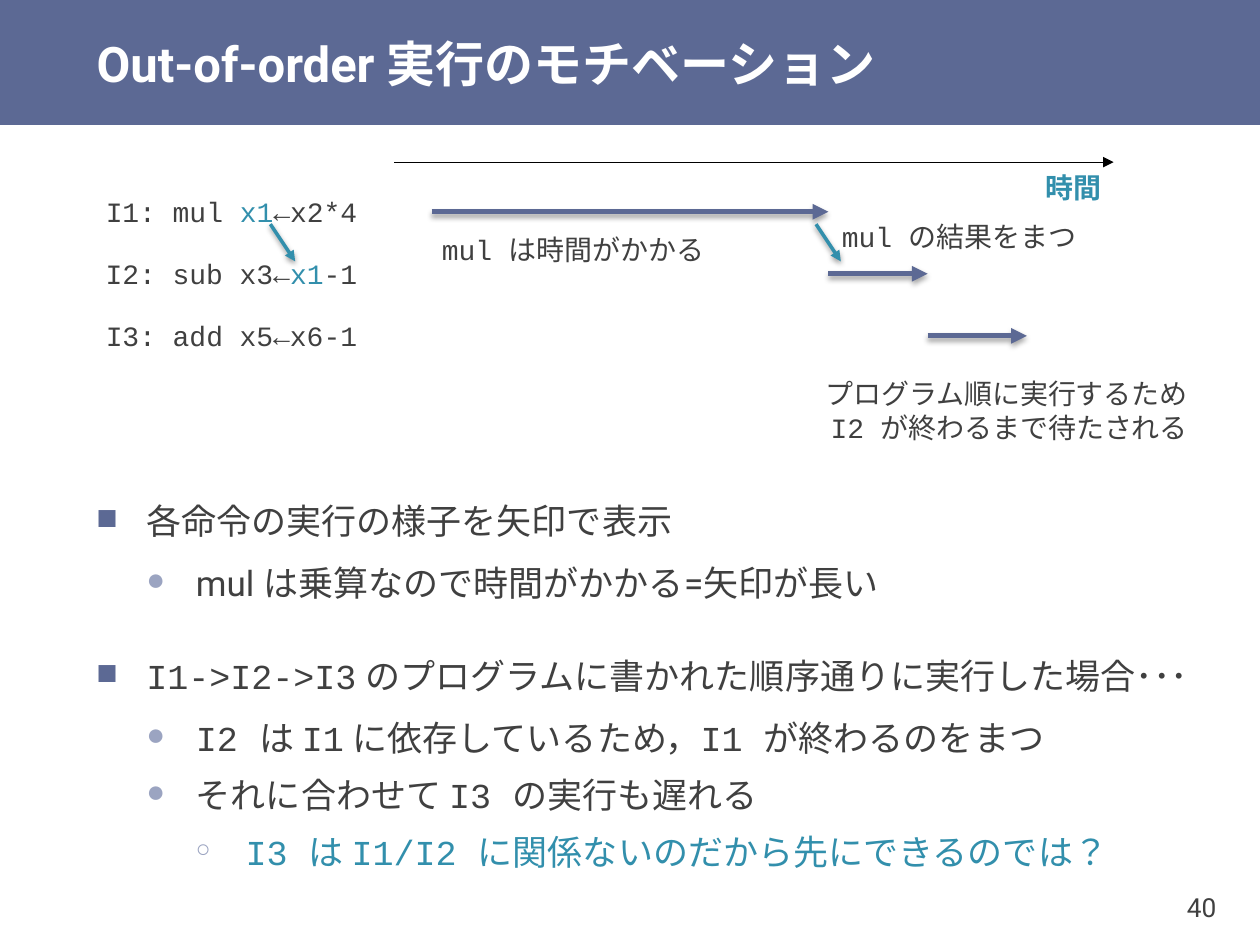
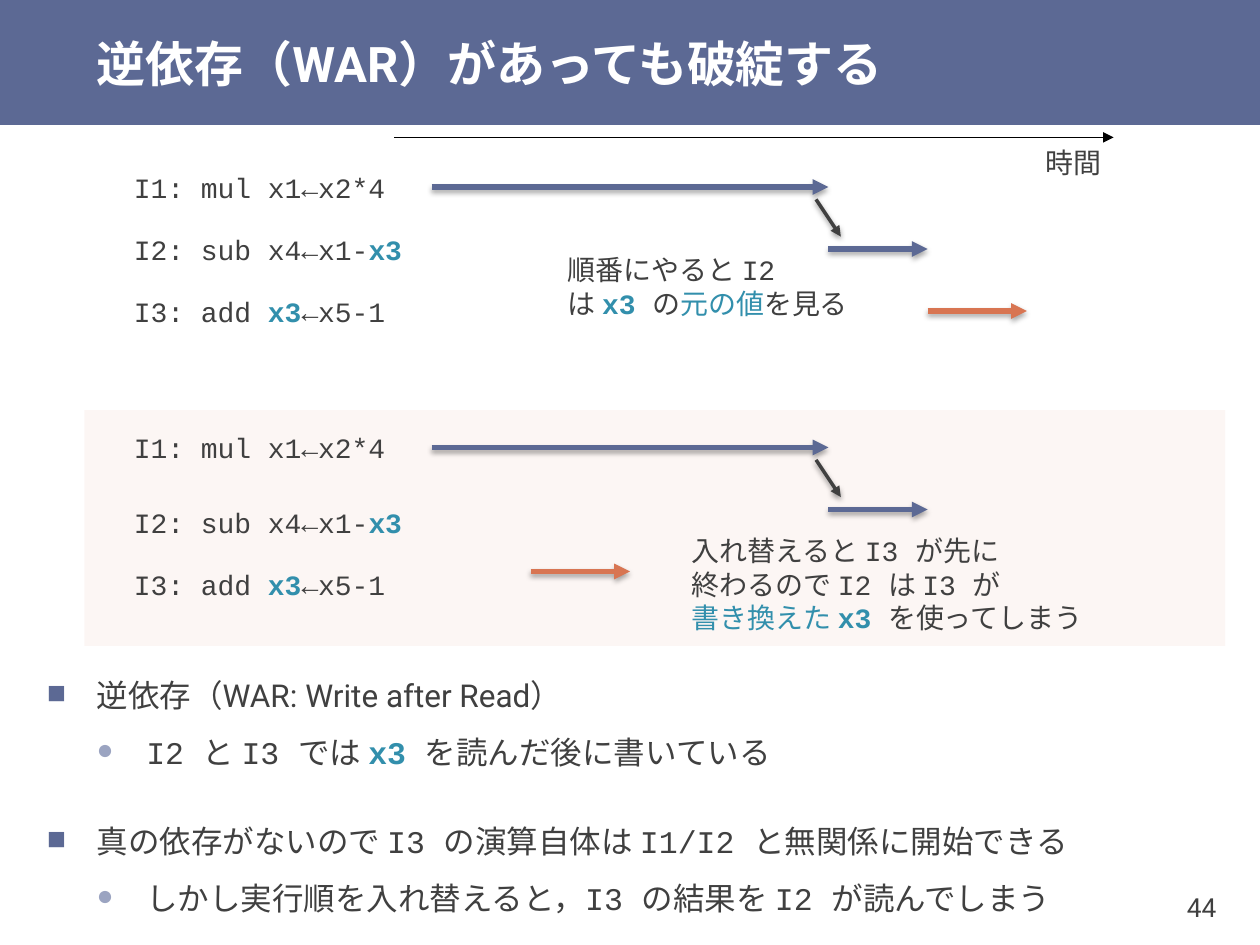
from dataclasses import dataclass, field
from pptx import Presentation
from pptx.dml.color import RGBColor
from pptx.enum.lang import MSO_LANGUAGE_ID as Lang
from pptx.enum.shapes import MSO_CONNECTOR as Link, MSO_SHAPE as Form
from pptx.enum.text import MSO_ANCHOR as Anchor, PP_ALIGN as Align
from pptx.oxml import parse_xml
from pptx.oxml.ns import nsdecls
from pptx.util import Cm, Pt

COLS, ROWS = 25.4, 19.05
EDGE, BAND = 1.7, 2.52
STEP = 1.25
BLUE, PALE, TEAL, CORAL = "5C6994", "9BA4C1", "328FAC", "D87552"
INK, WHITE, BLACK, BLUSH = "404040", "FFFFFF", "000000", "F7E3DC"
SANS, MONO = "Roboto", "Courier New"
MUL, SUB, ADD = (8.7, 16.7), (16.7, 18.7), (18.7, 20.7)
BULLETS = [("■", BLUE, 100, 24, 6), ("●", PALE, 90, 3, 3), ("○", PALE, 70, 3, 3)]


@dataclass
class Run:
    """A piece of text and its own format values."""
    text: str
    fmt: dict = field(default_factory=dict)


@dataclass
class Item:
    """A bulleted paragraph and its level."""
    level: int
    runs: list


@dataclass
class Label:
    """Lines of code text that start or end at a grid point."""
    col: float
    mid: float
    lines: list
    align: Align = Align.RIGHT
    width: float = 7


@dataclass
class Arrow:
    """An arrow between two grid points."""
    start: tuple
    end: tuple
    hue: str = BLUE
    width: float = 3


def code(text: str) -> Run:
    """Return text in the code font."""
    return Run(text, {"name": MONO})


def tint(text: str) -> Run:
    """Return highlighted code."""
    return Run(text, {"name": MONO, "color": TEAL})


def bold(text: str) -> Run:
    """Return bold highlighted code."""
    return Run(text, {"name": MONO, "color": TEAL, "bold": True})


def rgb(hue: str) -> RGBColor:
    """Turn a hex string into a colour."""
    return RGBColor.from_string(hue)


def node(tag: str, attrs: str = "", inner: str = ""):
    """Build a drawing element."""
    return parse_xml(f"<a:{tag} {nsdecls('a')} {attrs}>{inner}</a:{tag}>")


def style(font, fmt: dict) -> None:
    """Apply format values to a font."""
    for key, val in fmt.items():
        if key == "color":
            font.color.rgb = rgb(val)
        else:
            setattr(font, key, Pt(val) if key == "size" else val)


def write(para, runs: list, base: dict) -> None:
    """Fill a paragraph with runs."""
    for run in runs:
        if run.text == "\n":
            para.add_line_break()
            continue
        part = para.add_run()
        part.text = run.text
        style(part.font, {"language_id": Lang.JAPANESE} | base | run.fmt)


def frame(slide, box: tuple, pads: tuple = (0, 0)):
    """Add a text box and return its text frame."""
    text = slide.shapes.add_textbox(*map(Cm, box)).text_frame
    side, end = map(Cm, pads)
    fmt = {"word_wrap": True, "vertical_anchor": Anchor.MIDDLE,
           "margin_left": side, "margin_right": side,
           "margin_top": end, "margin_bottom": end}
    for key, val in fmt.items():
        setattr(text, key, val)
    return text


def rect(slide, box: tuple, hue: str, alpha: int = 100) -> None:
    """Draw a plain filled rectangle."""
    shape = slide.shapes.add_shape(Form.RECTANGLE, *map(Cm, box))
    shape.shadow.inherit = False
    shape.fill.solid()
    shape.fill.fore_color.rgb = rgb(hue)
    shape.line.fill.background()
    if alpha < 100:
        tone = shape.fill._xPr.find(".//{*}srgbClr")
        tone.append(node("alpha", f'val="{alpha * 1000}"'))


def label(slide, item: Label) -> None:
    """Draw a label centred on its row."""
    left = item.col - item.width if item.align == Align.RIGHT else item.col
    text = frame(slide, (left, item.mid - 0.5, item.width, 1))
    for i, runs in enumerate(item.lines):
        para = text.add_paragraph() if i else text.paragraphs[0]
        para.alignment = item.align
        write(para, runs, {"name": MONO, "size": 16, "color": INK})


def arrow(slide, item: Arrow) -> None:
    """Draw an arrow; heavy ones cast a shadow."""
    ends = map(Cm, item.start + item.end)
    link = slide.shapes.add_connector(Link.STRAIGHT, *ends)
    link.line.color.rgb = rgb(item.hue)
    link.line.width = Pt(item.width)
    link.line._get_or_add_ln().append(node("tailEnd", 'type="triangle"'))
    shade = ""
    if item.width > 1:
        dist, alpha = (22860, 35000) if item.width > 2 else (20320, 38000)
        shade = (f'<a:outerShdw blurRad="39370" dist="{dist}" dir="5400000" rotWithShape="0">'
                 f'<a:srgbClr val="{BLACK}"><a:alpha val="{alpha}"/></a:srgbClr></a:outerShdw>')
    link._element.spPr.append(node("effectLst", inner=shade))


def axis(slide, row: float, run: Run) -> None:
    """Draw the time axis and its name."""
    arrow(slide, Arrow((7.95, row), (22.45, row), BLACK, 0.75))
    label(slide, Label(22.2, row + 0.5, [[run]]))


def depend(slide, col: float, row: float, hue: str) -> None:
    """Draw a dependence from one row to the next."""
    arrow(slide, Arrow((col, row + 0.25), (col + 0.5, row + 1), hue, 2))


def flow(slide, row: float, spans: list, last: str, hue: str) -> None:
    """Draw the timeline of three instructions."""
    for i, (start, end) in enumerate(spans):
        mid = row + i * STEP
        arrow(slide, Arrow((start, mid), (end, mid), last if i == 2 else BLUE))
    depend(slide, 16.45, row, hue)


def listing(slide, col: float, rows: list, lines: list, align: Align) -> None:
    """Draw one line of code on each row."""
    for row, runs in zip(rows, lines):
        label(slide, Label(col, row, [runs], align))


def body(slide, box: tuple, size: int, items: list) -> None:
    """Draw the bulleted text."""
    text = frame(slide, box, (0.25, 0.13))
    for i, item in enumerate(items):
        para = text.add_paragraph() if i else text.paragraphs[0]
        mark, hue, share, above, below = BULLETS[item.level]
        fmt = {"level": item.level, "line_spacing": 1.1,
               "space_before": Pt(above), "space_after": Pt(below)}
        for key, val in fmt.items():
            setattr(para, key, val)
        props = para._p.get_or_add_pPr()
        props.set("marL", str(Cm(item.level + 1)))
        props.set("indent", str(-Cm(1)))
        props.append(node("buClr", inner=f'<a:srgbClr val="{hue}"/>'))
        props.append(node("buSzPct", f'val="{share * 1000}"'))
        props.append(node("buFont", f'typeface="{MONO}"'))
        props.append(node("buChar", f'char="{mark}"'))
        write(para, item.runs, {"name": SANS, "size": size, "color": INK})


def start(deck, title: str, page: int):
    """Add a slide with band, title and page number."""
    slide = deck.slides.add_slide(deck.slide_layouts[6])
    rect(slide, (0, 0, COLS, BAND), BLUE)
    head = frame(slide, (EDGE, 0, COLS - EDGE, BAND), (0.25, 0))
    write(head.paragraphs[0], [Run(title)],
          {"name": SANS, "size": 28, "color": WHITE, "bold": True})
    foot = frame(slide, (22.7, ROWS - 1.52, 2, 1.52), (0.18, 0.1))
    foot.paragraphs[0].alignment = Align.RIGHT
    write(foot.paragraphs[0], [Run(str(page))], {"name": SANS, "size": 15, "color": INK})
    return slide


def motive(deck) -> None:
    """Build the slide on in-order delay."""
    slide = start(deck, "Out-of-order 実行のモチベーション", 40)
    top = 4.27
    axis(slide, top - 1, bold("時間"))
    listing(slide, 7.2, [top + i * STEP for i in range(3)], [
        [code("I1: mul "), tint("x1"), code("←x2*4")],
        [code("I2: sub x3←"), tint("x1"), code("-1")],
        [code("I3: add x5←x6-1")]], Align.RIGHT)
    flow(slide, top, [MUL, SUB, ADD], BLUE, TEAL)
    depend(slide, 5.45, top, TEAL)
    for item in (
            Label(14.2, top + 0.75, [[code("mul は時間がかかる")]]),
            Label(21.7, top + 0.5, [[code("mul の結果をまつ")]]),
            Label(23.95, top + 4, [[code("プログラム順に実行するため")],
                                   [code("I2 が終わるまで待たされる")]], width=9)):
        label(slide, item)
    body(slide, (EDGE, 10.03, COLS - EDGE, 7.5), 20, [
        Item(0, [Run("各命令の実行の様子を矢印で表示")]),
        Item(1, [Run("mul は乗算なので時間がかかる=矢印が長い")]),
        Item(0, [code("I1->I2->I3"), Run(" のプログラムに書かれた順序通りに実行した場合･･･")]),
        Item(1, [code("I2 は I1"), Run(" に依存しているため，"), code("I1 が終わるのをまつ")]),
        Item(1, [code("それに合わせて I3 の実行も遅れる")]),
        Item(2, [tint("I3 は I1/I2 に関係ないのだから先にできるのでは？")])])


def hazard(deck) -> None:
    """Build the slide on write after read."""
    slide = start(deck, "逆依存（WAR）があっても破綻する", 44)
    top, low = 3.77, 9.02
    rect(slide, (EDGE, 8.27, 23, 4.75), BLUSH, 30)
    axis(slide, top - 1, code("時間"))
    lines = [[code("I1: mul x1←x2*4")],
             [code("I2: sub x4←x1-"), bold("x3")],
             [code("I3: add "), bold("x3"), code("←x5-1")]]
    for rows in ([top + i * STEP for i in range(3)], [low, low + 1.5, low + 2.75]):
        listing(slide, 2.7, rows, lines, Align.LEFT)
    flow(slide, top, [MUL, SUB, ADD], CORAL, INK)
    flow(slide, low, [MUL, SUB, (10.7, 12.7)], CORAL, INK)
    label(slide, Label(13.95, low + 2.75, [
        [code("入れ替えると I3 が先に")],
        [code("終わるので I2 は I3 が"), Run("\n"), tint("書き換えた "),
         bold("x3 "), code("を使ってしまう")]], Align.LEFT, 9))
    label(slide, Label(11.45, top + 2, [
        [code("順番にやると I2 ")],
        [code("は "), bold("x3 "), code("の"), tint("元の値"), code("を見る")]], Align.LEFT))
    body(slide, (0.7, 13.52, 24.45, 5), 18, [
        Item(0, [Run("逆依存（WAR: Write after Read）")]),
        Item(1, [code("I2 と I3 では "), bold("x3 "), code("を読んだ後に書いている")]),
        Item(0, [code("真の依存がないので I3 の演算自体は I1/I2 と無関係に開始できる")]),
        Item(1, [code("しかし実行順を入れ替えると，I3 の結果を I2 が読んでしまう")])])


def main() -> None:
    """Build and save the slides."""
    deck = Presentation()
    deck.slide_width, deck.slide_height = Cm(COLS), Cm(ROWS)
    motive(deck)
    hazard(deck)
    deck.save("out.pptx")


main()
